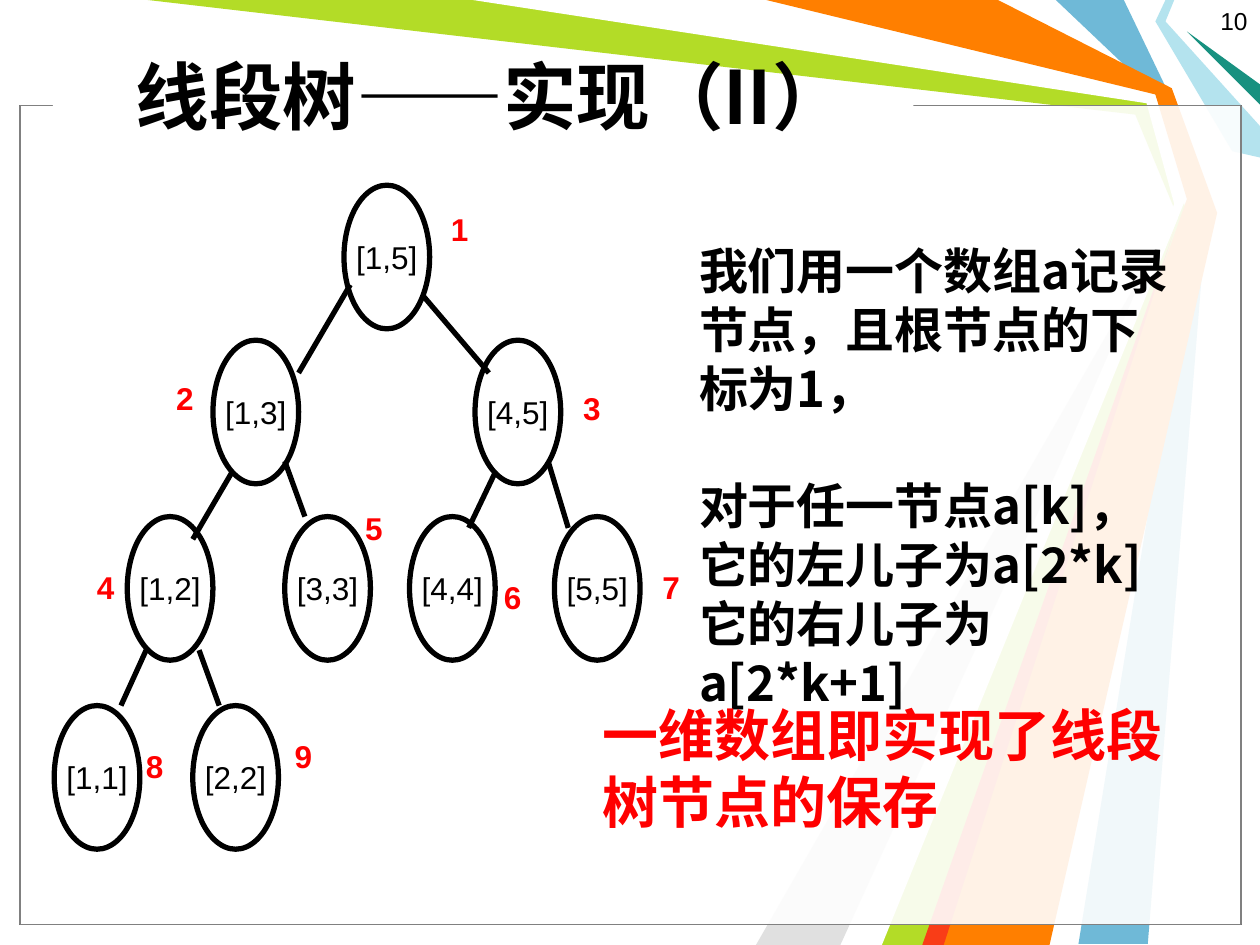
from dataclasses import dataclass

from lxml.etree import SubElement
from pptx import Presentation
from pptx.dml.color import RGBColor
from pptx.enum.shapes import MSO_CONNECTOR, MSO_SHAPE
from pptx.enum.text import MSO_ANCHOR, PP_ALIGN
from pptx.oxml.ns import qn
from pptx.slide import Slide
from pptx.util import Inches, Pt

BLACK = RGBColor(0x00, 0x00, 0x00)
WHITE = RGBColor(0xFF, 0xFF, 0xFF)
RED = RGBColor(0xFF, 0x00, 0x00)
GRAY = RGBColor(0x80, 0x80, 0x80)
SILVER = RGBColor(0xE0, 0xE0, 0xE0)
BLUE = RGBColor(0x6F, 0xB9, 0xD7)
LIME = RGBColor(0xB3, 0xDC, 0x27)
SKY = RGBColor(0xB4, 0xE3, 0xEE)
TEAL = RGBColor(0x18, 0x91, 0x80)
ORANGE = RGBColor(0xFF, 0x7F, 0x00)
VERMILION = RGBColor(0xF9, 0x3D, 0x17)

COLUMNS, ROWS = 100, 75
NODE_WIDTH, NODE_HEIGHT = 6.8, 11.4
LEVELS = (14.7, 27, 41, 56)

RIBBONS = [
    (BLUE, [(89.2, 0), (92.9, 7.7), (95.8, 16.7), (91.1, 74.9), (85.6, 74.9),
            (95, 16.7), (91.7, 7.5), (83.8, 0)]),
    (LIME, [(11.7, 0), (38.3, 0), (91.4, 7.8), (94.2, 16.9), (74.2, 75),
            (69.2, 75), (93.5, 17.3), (90.1, 9.1)]),
    (SILVER, [(66.7, 75), (92.7, 18.1), (60, 75)]),
    (WHITE, [(37.5, 0), (91, 8.2), (93.2, 16.2), (67.5, 75), (70, 75),
             (94.1, 15.8), (91.7, 7.5), (60, 0)]),
    (SKY, [(92.5, 0), (91.7, 1.7), (97.8, 12), (100, 12.5), (100, 10),
           (92.5, 1.7), (93.2, 0)]),
    (TEAL, [(100, 8.3), (94.2, 2.5), (100, 6.7)]),
    (ORANGE, [(60.8, 0), (79.2, 0), (93, 7), (96.6, 16.9), (83.3, 75),
              (73.3, 75), (94.2, 15.8), (91.7, 7.5)]),
    (VERMILION, [(73.2, 75), (93.2, 18.3), (74.9, 75)]),
]

NODES = [
    ("[1,5]", 27.3, 0, (34.8, 16.2)),
    ("[1,3]", 16.9, 1, (13, 29.6)),
    ("[4,5]", 37.7, 1, (45.3, 30.4)),
    ("[1,2]", 10.1, 2, (6.7, 44.6)),
    ("[3,3]", 22.6, 2, (28, 39.9)),
    ("[4,4]", 32.5, 2, (39, 45.4)),
    ("[5,5]", 44, 2, (51.6, 44.6)),
    ("[1,1]", 4.3, 3, (10.6, 58.8)),
    ("[2,2]", 15.3, 3, (22.4, 58)),
]

EDGES = [
    ((27.8, 22.6), (23.7, 29.6)), ((33.6, 23.5), (38.8, 29.6)),
    ((18.4, 37.5), (15.3, 42.8)), ((22.6, 36.6), (24.2, 41)),
    ((39.3, 37.5), (37.2, 41.9)), ((43.5, 36.6), (45.1, 41.9)),
    ((11.6, 51.6), (9.6, 56)), ((15.8, 51.6), (17.4, 56)),
]


@dataclass
class TreeSlide:
    slide: Slide
    width: int
    height: int
    latin_font: str = "Arial"
    chinese_font: str = "Noto Sans CJK SC"
    node_line: float = 3

    def place(self, *lengths):
        cells = (self.width / COLUMNS, self.height / ROWS)
        return [round(length * cells[index % 2]) for index, length in enumerate(lengths)]

    def ribbon(self, color, points):
        start, *others = [self.place(*point) for point in points]
        builder = self.slide.shapes.build_freeform(*start)
        builder.add_line_segments(others)
        shape = builder.convert_to_shape()
        shape.shadow.inherit = False
        shape.fill.solid()
        shape.fill.fore_color.rgb = color
        shape.line.fill.background()

    def panel(self, box, border=None, opacity=100):
        shape = self.slide.shapes.add_shape(MSO_SHAPE.RECTANGLE, *self.place(*box))
        shape.shadow.inherit = False
        shape.fill.solid()
        shape.fill.fore_color.rgb = WHITE
        if opacity < 100:
            color = shape.fill._xPr.find(qn("a:solidFill"))[0]
            SubElement(color, qn("a:alpha"), val=str(opacity * 1000))
        if border is None:
            shape.line.fill.background()
        else:
            shape.line.color.rgb = border
            shape.line.width = Pt(0.75)

    def format_text(self, text_frame, size, color=BLACK, bold=False, font=None,
                    align=PP_ALIGN.LEFT):
        for paragraph in text_frame.paragraphs:
            paragraph.alignment = align
            for run in paragraph.runs:
                run.font.size = Pt(size)
                run.font.bold = bold
                run.font.color.rgb = color
                run.font.name = font or self.latin_font
                SubElement(run._r.get_or_add_rPr(), qn("a:ea"), typeface=self.chinese_font)

    def text(self, text, box, size, anchor=MSO_ANCHOR.TOP, **style):
        text_frame = self.slide.shapes.add_textbox(*self.place(*box)).text_frame
        text_frame.word_wrap = True
        text_frame.vertical_anchor = anchor
        text_frame.text = text
        self.format_text(text_frame, size, **style)
        return text_frame

    def passage(self, text, box, size, **style):
        text_frame = self.text(text, box, size, bold=True, **style)
        text_frame.margin_top = Inches(0.1)
        for paragraph in text_frame.paragraphs:
            paragraph.line_spacing = Pt(size * 1.2)
        return text_frame

    def node(self, interval, left, level):
        box = self.place(left, LEVELS[level], NODE_WIDTH, NODE_HEIGHT)
        shape = self.slide.shapes.add_shape(MSO_SHAPE.OVAL, *box)
        shape.shadow.inherit = False
        shape.fill.background()
        shape.line.color.rgb = BLACK
        shape.line.width = Pt(self.node_line)
        shape.text_frame.word_wrap = False
        shape.text_frame.vertical_anchor = MSO_ANCHOR.MIDDLE
        shape.text_frame.text = interval
        self.format_text(shape.text_frame, 18, align=PP_ALIGN.CENTER)

    def edge(self, start, end):
        connector = self.slide.shapes.add_connector(
            MSO_CONNECTOR.STRAIGHT, *self.place(*start, *end))
        connector.line.color.rgb = BLACK
        connector.line.width = Pt(self.node_line)
        SubElement(connector._element.spPr, qn("a:effectLst"))


def main():
    presentation = Presentation()
    presentation.slide_width = Inches(10)
    presentation.slide_height = Inches(7.5)
    slide = presentation.slides.add_slide(presentation.slide_layouts[6])
    tree = TreeSlide(slide, presentation.slide_width, presentation.slide_height)

    for color, points in RIBBONS:
        tree.ribbon(color, points)
    for border in (BLACK, GRAY):
        tree.panel((1.6, 8.4, 96.9, 65), border, opacity=69)
    tree.panel((4.2, 7.4, 68.3, 1.7))

    tree.text("10", (76.7, 0, 23.3, 5.2), 14, align=PP_ALIGN.RIGHT)
    tree.text("线段树——实现（II）", (9.8, 1.3, 74, 12.5), 42, MSO_ANCHOR.MIDDLE,
              bold=True, font=tree.chinese_font)

    for interval, left, level, label in NODES:
        tree.node(interval, left, level)
    for start, end in EDGES:
        tree.edge(start, end)
    for number, (interval, left, level, label) in enumerate(NODES, 1):
        tree.text(str(number), (*label, 3.4, 4), 18, color=RED, bold=True)

    explanation = tree.passage(
        "我们用一个数组a记录节点，且根节点的下标为1，\n"
        "对于任一节点a[k]，\n它的左儿子为a[2*k]\n它的右儿子为a[2*k+1]",
        (54.5, 18.1, 40.4, 38.4), 28, font=tree.chinese_font)
    explanation.paragraphs[1].space_before = Pt(33.6)
    tree.passage("一维数组即实现了线段树节点的保存", (46.8, 54.6, 48.1, 11.7), 32, color=RED)

    presentation.save("out.pptx")


if __name__ == "__main__":
    main()
